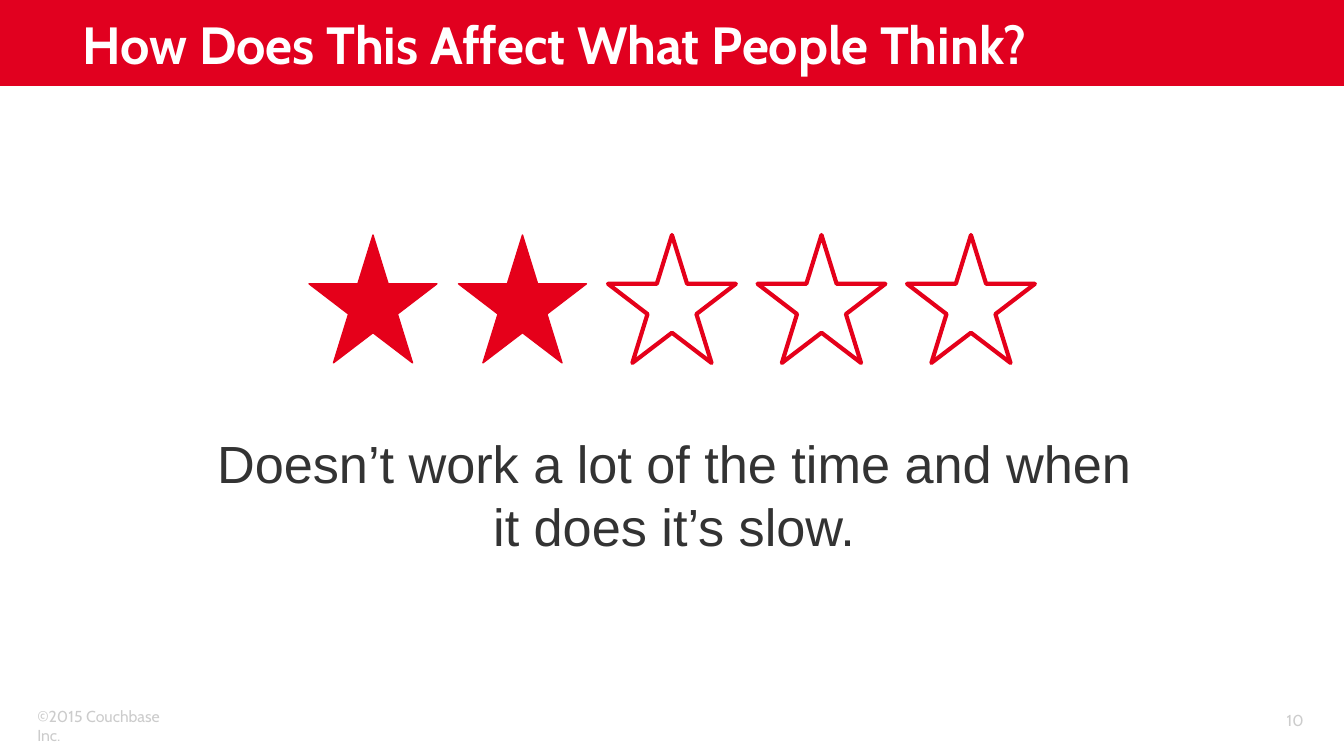
import lxml.etree
import pptx
import pptx.dml.color
import pptx.enum.shapes
import pptx.enum.text
import pptx.oxml.ns
import pptx.util

RGBColor = pptx.dml.color.RGBColor
ALIGN = pptx.enum.text.PP_ALIGN
ANCHOR = pptx.enum.text.MSO_ANCHOR
SHAPE = pptx.enum.shapes.MSO_SHAPE

BAND_RED = RGBColor(0xE1, 0x00, 0x1F)
STAR_RED = RGBColor(0xE5, 0x00, 0x1A)
WHITE = RGBColor(0xFF, 0xFF, 0xFF)
BODY_GREY = RGBColor(0x33, 0x33, 0x33)
FOOTER_GREY = RGBColor(0xCC, 0xCC, 0xCC)

SLIDE_WIDTH, SLIDE_HEIGHT = 1344, 756
STAR_COUNT, RATING = 5, 2
STAR_LEFT, STAR_TOP, STAR_SIZE = 309, 235, 128
STAR_PITCH = 149.5


def px(length):
    return pptx.util.Emu(round(length * 914400 / 134.4))


class SlideBuilder:
    heading_font = "Cabin"
    body_font = "Arial"

    def __init__(self, deck):
        self.slide = deck.slides.add_slide(deck.slide_layouts[5])

    def fill_text(self, frame, text, size, color, font, align, anchor,
                  bold=False):
        frame.word_wrap = True
        frame.auto_size = pptx.enum.text.MSO_AUTO_SIZE.NONE
        frame.vertical_anchor = anchor
        frame.text = text
        para = frame.paragraphs[0]
        para.alignment = align
        for span in para.runs:
            span.font.name = font
            span.font.size = pptx.util.Pt(size)
            span.font.bold = bold
            span.font.color.rgb = color
        return para

    def band(self, left, top, width, height):
        box = self.slide.shapes.add_shape(
            SHAPE.RECTANGLE, px(left), px(top), px(width), px(height))
        box.shadow.inherit = False
        box.fill.solid()
        box.fill.fore_color.rgb = BAND_RED
        box.line.fill.background()
        # Keep the band behind the title
        self.slide.shapes.title.element.addprevious(box.element)

    def title(self, text, left, top, width, height):
        box = self.slide.shapes.title
        box.left, box.top = px(left), px(top)
        box.width, box.height = px(width), px(height)
        para = self.fill_text(box.text_frame, text, 28, WHITE,
                              self.heading_font, ALIGN.LEFT, ANCHOR.BOTTOM,
                              bold=True)
        para.line_spacing = 0.8

    def text(self, text, left, top, width, height, size, color, font,
             align=ALIGN.LEFT, anchor=ANCHOR.TOP):
        box = self.slide.shapes.add_textbox(
            px(left), px(top), px(width), px(height))
        self.fill_text(box.text_frame, text, size, color, font, align, anchor)

    def star(self, group, left, top, size, filled):
        star = group.shapes.add_shape(
            SHAPE.STAR_5_POINT, px(left), px(top), px(size), px(size))
        star.shadow.inherit = False
        star.line.color.rgb = STAR_RED
        if filled:
            star.fill.solid()
            star.fill.fore_color.rgb = STAR_RED
            star.line.width = pptx.util.Pt(0.75)
        else:
            star.fill.background()
            star.line.width = pptx.util.Pt(2.25)
            outline = star.element.spPr.find(pptx.oxml.ns.qn("a:ln"))
            lxml.etree.SubElement(outline, pptx.oxml.ns.qn("a:round"))

    def rating(self):
        group = self.slide.shapes.add_group_shape()
        for index in range(STAR_COUNT):
            self.star(group, STAR_LEFT + index * STAR_PITCH, STAR_TOP,
                      STAR_SIZE, filled=index < RATING)


def main():
    deck = pptx.Presentation()
    deck.slide_width, deck.slide_height = px(SLIDE_WIDTH), px(SLIDE_HEIGHT)
    page = SlideBuilder(deck)

    # Header
    page.band(0, 0, SLIDE_WIDTH, 86)
    page.title("How Does This Affect What People Think?", 69, 1, 1176, 80)

    # Footer
    page.text("©2015 Couchbase Inc.", 24, 700, 173, 32, 8.5, FOOTER_GREY,
              page.heading_font)
    page.text("10", 1208, 700, 109, 41, 8.5, FOOTER_GREY, page.heading_font,
              ALIGN.RIGHT, ANCHOR.MIDDLE)

    # Star rating and its review
    page.rating()
    page.text("Doesn’t work a lot of the time and when it does it’s slow.",
              187, 425, 974, 140, 28, BODY_GREY, page.body_font, ALIGN.CENTER)

    deck.save("out.pptx")


if __name__ == "__main__":
    main()
